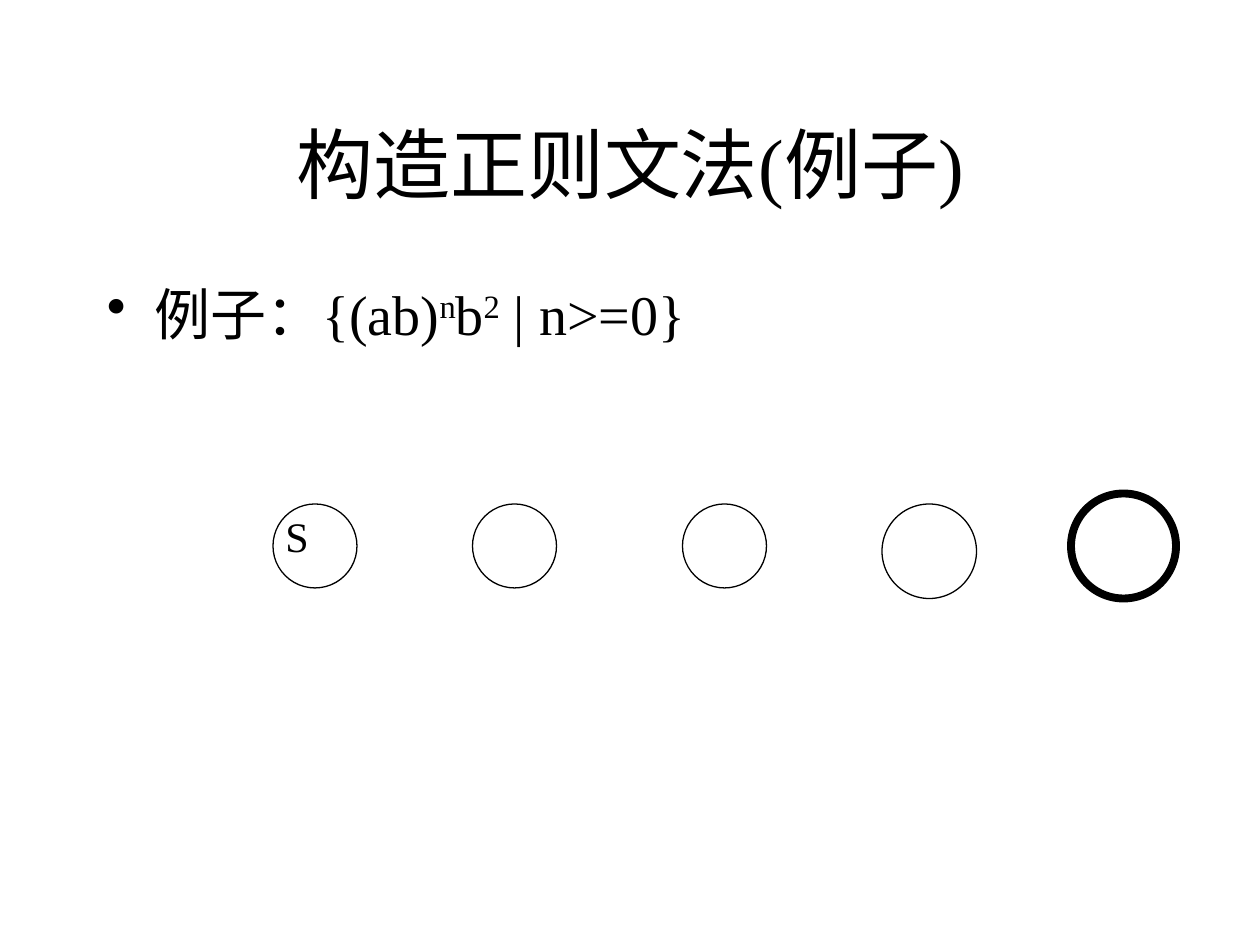
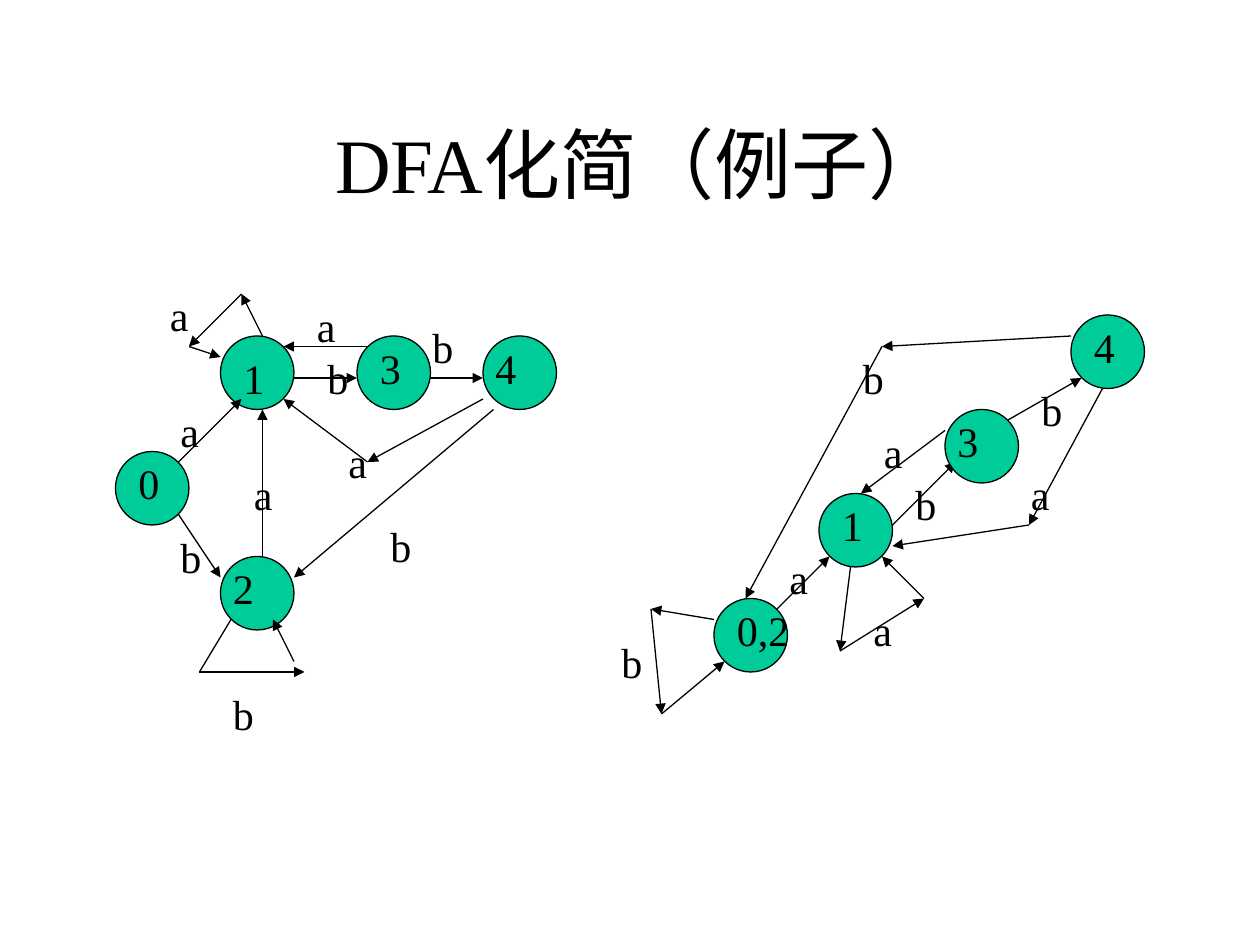
from lxml import etree
from pptx import Presentation
from pptx.dml.color import RGBColor
from pptx.enum.shapes import MSO_CONNECTOR, MSO_SHAPE
from pptx.enum.text import MSO_ANCHOR, MSO_AUTO_SIZE, PP_ALIGN
from pptx.oxml.ns import qn
from pptx.util import Pt

OVAL = MSO_SHAPE.OVAL
STRAIGHT = MSO_CONNECTOR.STRAIGHT
MIDDLE = MSO_ANCHOR.MIDDLE
TOP = MSO_ANCHOR.TOP
GROW = MSO_AUTO_SIZE.SHAPE_TO_FIT_TEXT
FIXED = MSO_AUTO_SIZE.NONE
CENTER = PP_ALIGN.CENTER
LEFT = PP_ALIGN.LEFT

# Shared look
INK = "000000"
NODE_FILL = "00CC99"
FONT = "Times New Roman"
HAIRLINE = 0.75
GRID = 6  # points per grid unit used by the diagrams
NODE = 7  # node diameter in grid units
LABEL_HEIGHT = 6


def color(value):
    return RGBColor.from_string(value)


def add_text(s, box, pieces, size, align=LEFT, anchor=TOP, fit=FIXED):
    """Text box at box (points); pieces are (text, superscript percent)."""
    sp = s.shapes.add_textbox(*map(Pt, box))
    tf = sp.text_frame
    frame = {"word_wrap": True, "vertical_anchor": anchor, "auto_size": fit}
    for name, value in frame.items():
        setattr(tf, name, value)
    p = tf.paragraphs[0]
    p.alignment = align
    for text, raised in pieces:
        r = p.add_run()
        r.text = text
        for name, value in {"name": FONT, "size": Pt(size)}.items():
            setattr(r.font, name, value)
        r.font.color.rgb = color(INK)
        if raised:
            r.font._element.set("baseline", str(raised * 1000))
    return p


def add_title(s, text, left):
    add_text(s, (left, 48, 612, 90), [(text, 0)], 44, CENTER, MIDDLE)


def add_bullet_line(s, box, pieces):
    p = add_text(s, box, pieces, 32)
    pPr = p._p.get_or_add_pPr()
    pPr.set("marL", str(Pt(27)))
    pPr.set("indent", str(-Pt(27)))
    clr = etree.SubElement(pPr, qn("a:buClr"))
    etree.SubElement(clr, qn("a:srgbClr"), val=INK)
    etree.SubElement(pPr, qn("a:buChar"), char="•")


def add_label(s, x, y, width, text):
    """Letter in a small box, in grid units."""
    box = [v * GRID for v in (x, y, width, LABEL_HEIGHT)]
    add_text(s, box, [(text, 0)], 24, fit=GROW)


def add_circle(s, x, y, diameter, fill=None, weight=HAIRLINE):
    sp = s.shapes.add_shape(
        OVAL, *(Pt(v * GRID) for v in (x, y, diameter, diameter)))
    sp.shadow.inherit = False
    if fill:
        sp.fill.solid()
        sp.fill.fore_color.rgb = color(fill)
    else:
        sp.fill.background()
    sp.line.color.rgb = color(INK)
    sp.line.width = Pt(weight)


def add_edge(s, start, end, arrow=True):
    sp = s.shapes.add_connector(
        STRAIGHT, *(Pt(v * GRID) for v in (*start, *end)))
    sp.line.color.rgb = color(INK)
    sp.line.width = Pt(HAIRLINE)
    if arrow:
        etree.SubElement(sp.line._get_or_add_ln(), qn("a:tailEnd"),
                         type="triangle")
    etree.SubElement(sp._element.spPr, qn("a:effectLst"))


def add_edges(s, x, y, routes, labels, plain=()):
    """Routes get an arrowhead on every segment, plain ones none."""
    for route in (*plain, *routes):
        points = [(x + px, y + py) for px, py in route]
        for start, end in zip(points, points[1:]):
            add_edge(s, start, end, arrow=route not in plain)
    for text, lx, ly, width in labels:
        add_label(s, x + lx, y + ly, width, text)


def add_node_circles(s, x, y, nodes):
    for _, nx, ny, *_ in nodes:
        add_circle(s, x + nx, y + ny, NODE, NODE_FILL)


def add_node_names(s, x, y, nodes):
    for name, nx, ny, dx, dy, width in nodes:
        add_label(s, x + nx + dx, y + ny + dy, width, name)


# Original automaton: name, circle x, y, name offset x, y, name width
FULL_NODES = [
    ("1", 10, 5, 1, 1, 5), ("3", 23, 5, 1, 0, 6), ("4", 35, 5, 0, 0, 7),
    ("2", 10, 26, 0, 0, 7), ("0", 0, 16, 1, 0, 5),
]
FULL_ROUTES = [
    [(6, 17), (12, 11)],                     # 0 to 1
    [(6, 22), (10, 28)],                     # 0 to 2
    [(14, 26), (14, 12)],                    # 2 to 1
    [(17, 9), (23, 9)],                      # 1 to 3
    [(8, 37), (18, 37)],                     # 2 to itself
    [(17, 36), (15, 32)],
    [(30, 9), (35, 9)],                      # 3 to 4
    [(36, 12), (17, 28)],                    # 4 to 2
    [(14, 5), (12, 1), (7, 6), (10, 7)],     # 1 to itself
    [(35, 11), (24, 17), (16, 11)],          # 4 to 1
    [(24, 6), (16, 6)],                      # 3 to 1
]
FULL_PLAIN = [[(11, 32), (8, 37)]]
FULL_LABELS = [
    ("a", 4, 0, 6), ("a", 5, 11, 7), ("b", 5, 23, 5), ("b", 10, 38, 6),
    ("b", 25, 22, 7), ("a", 21, 14, 7), ("b", 19, 6, 4), ("a", 18, 1, 6),
    ("b", 29, 3, 6), ("a", 12, 17, 8),
]

# Reduced automaton
REDUCED_NODES = [
    ("0,2", 10, 27, 1, 0, 8), ("1", 20, 17, 1, 0, 6),
    ("3", 32, 9, 0, 0, 7), ("4", 44, 0, 1, 0, 6),
]
REDUCED_ROUTES = [
    [(10, 29), (4, 28), (5, 38), (11, 33)],    # 0,2 to itself
    [(16, 28), (21, 23)],                      # 0,2 to 1
    [(44, 2), (26, 3), (13, 27)],              # 4 to 0,2
    [(27, 20), (33, 14)],                      # 1 to 3
    [(38, 10), (45, 6)],                       # 3 to 4
    [(23, 24), (22, 32), (30, 27), (26, 23)],  # 1 to itself
    [(32, 11), (24, 17)],                      # 3 to 1
    [(47, 7), (40, 20), (27, 22)],             # 4 to 1
]
REDUCED_LABELS = [
    ("b", 0, 30, 6), ("a", 16, 22, 3), ("b", 23, 3, 8), ("b", 28, 15, 6),
    ("a", 24, 27, 5), ("a", 25, 10, 5), ("b", 40, 6, 4), ("a", 39, 14, 8),
]


def state_row(s, x, y):
    """Row of states, the last one accepting."""
    for dx, dy, diameter, weight in [
            (0, 0, 8, HAIRLINE), (19, 0, 8, HAIRLINE), (39, 0, 8, HAIRLINE),
            (58, 0, 9, HAIRLINE), (76, -1, 10, 4.5)]:
        add_circle(s, x + dx, y + dy, diameter, weight=weight)
    add_label(s, x, y, 8, "S")


def full_automaton(s, x, y):
    add_node_circles(s, x, y, FULL_NODES)
    add_edges(s, x, y, FULL_ROUTES, FULL_LABELS, FULL_PLAIN)
    add_node_names(s, x, y, FULL_NODES)


def reduced_automaton(s, x, y):
    add_edges(s, x, y, REDUCED_ROUTES, REDUCED_LABELS)
    add_node_circles(s, x, y, REDUCED_NODES)
    add_node_names(s, x, y, REDUCED_NODES)


def grammar_slide(s):
    add_title(s, "构造正则文法(例子)", 54)
    add_bullet_line(s, (54, 156, 612, 54), [
        ("例子：{(ab)", 0), ("n", 30), ("b", 0), ("2", 30), (" | n>=0}", 0)])
    state_row(s, 26, 48)


def dfa_slide(s):
    add_title(s, "DFA化简（例子）", 60)
    full_automaton(s, 11, 27)
    reduced_automaton(s, 58, 30)


def main():
    prs = Presentation()
    prs.slide_width, prs.slide_height = Pt(720), Pt(540)
    blank = prs.slide_layouts[6]
    for build in (grammar_slide, dfa_slide):
        build(prs.slides.add_slide(blank))
    prs.save("out.pptx")


if __name__ == "__main__":
    main()
